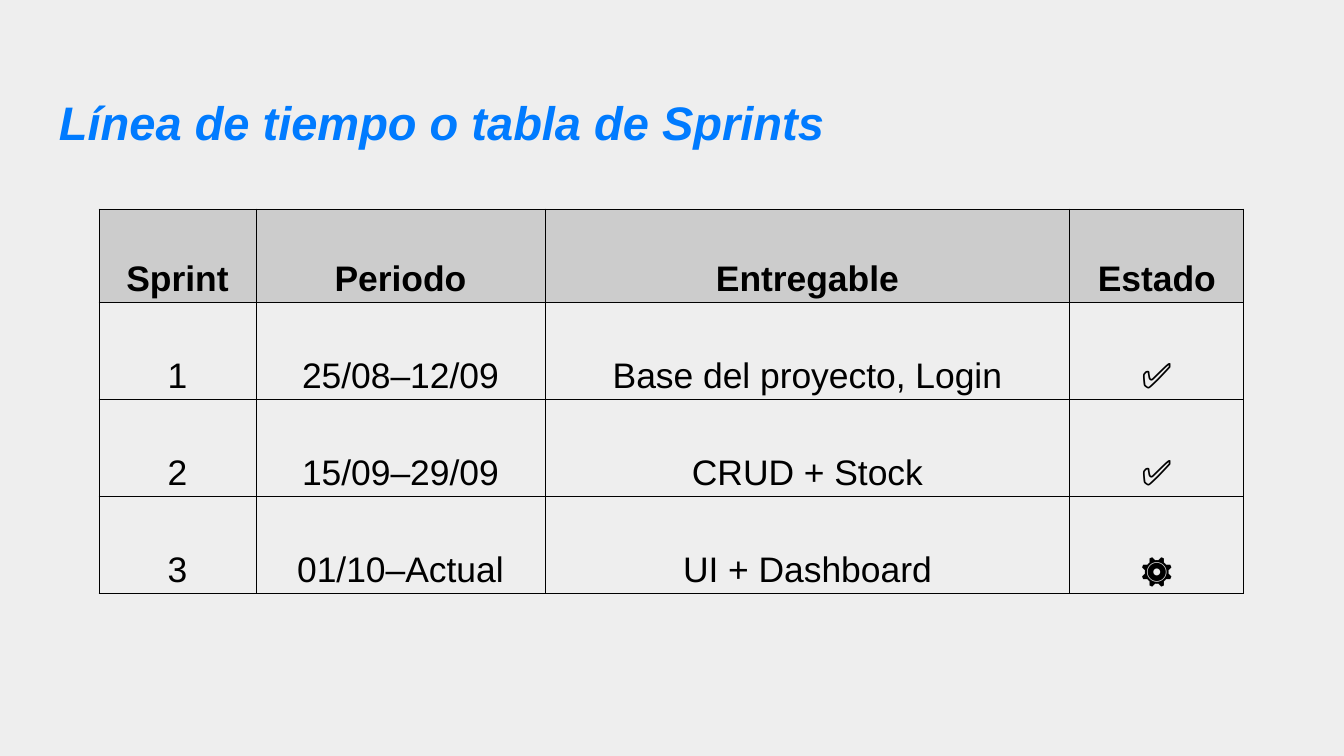
from lxml.etree import SubElement
from pptx import Presentation
from pptx.dml.color import RGBColor
from pptx.enum.text import MSO_ANCHOR, PP_ALIGN
from pptx.oxml.ns import qn
from pptx.util import Emu, Pt

TITLE = "Línea de tiempo o tabla de Sprints"
SPRINTS = [
    ("Sprint", "Periodo", "Entregable", "Estado"),
    ("1", "25/08–12/09", "Base del proyecto, Login", "✅"),
    ("2", "15/09–29/09", "CRUD + Stock", "✅"),
    ("3", "01/10–Actual", "UI + Dashboard", "⚙️"),
]
COLUMN_WIDTHS = [157, 289, 525, 174]
ROW_HEIGHTS = [93, 97, 97, 97]
BACKGROUND, HEADER_FILL, BLUE, BLACK = "EEEEEE", "CCCCCC", "007BFF", "000000"


def px(length):
    return Emu(round(length * 914400 / 134.4))


def color(value):
    return RGBColor.from_string(value)


def format_font(font, size, value, bold, italic=False):
    font.name, font.size = "Arial", Pt(size)
    font.bold, font.italic = bold, italic
    font.color.rgb = color(value)


def set_margins(area, horizontal, vertical):
    area.margin_left = area.margin_right = px(horizontal)
    area.margin_top = area.margin_bottom = px(vertical)


def add_borders(cell):
    properties = cell._tc.get_or_add_tcPr()
    for side in ("lnL", "lnR", "lnT", "lnB"):
        border = SubElement(properties, qn(f"a:{side}"), w=str(Pt(0.5)))
        fill = SubElement(border, qn("a:solidFill"))
        SubElement(fill, qn("a:srgbClr"), val=BLACK)


def fill_cell(cell, text, is_header):
    set_margins(cell, 4, 3)
    cell.vertical_anchor = MSO_ANCHOR.BOTTOM
    add_borders(cell)
    if is_header:
        cell.fill.solid()
        cell.fill.fore_color.rgb = color(HEADER_FILL)
    else:
        cell.fill.background()
    paragraph = cell.text_frame.paragraphs[0]
    paragraph.text = text
    paragraph.alignment = PP_ALIGN.CENTER
    paragraph.line_spacing = 1.15
    format_font(paragraph.runs[0].font, 19, BLACK, bold=is_header)


def main():
    deck = Presentation()
    deck.slide_width, deck.slide_height = px(1344), px(756)
    slide = deck.slides.add_slide(deck.slide_layouts[5])
    slide.background.fill.solid()
    slide.background.fill.fore_color.rgb = color(BACKGROUND)

    title = slide.shapes.title
    title.left, title.top, title.width, title.height = map(px, (46, 78, 1252, 85))
    frame = title.text_frame
    frame.text = TITLE
    frame.vertical_anchor = MSO_ANCHOR.BOTTOM
    set_margins(frame, 13, 13)
    frame.paragraphs[0].alignment = PP_ALIGN.LEFT
    format_font(frame.paragraphs[0].runs[0].font, 25.2, BLUE, bold=True, italic=True)

    table = slide.shapes.add_table(
        len(SPRINTS), len(COLUMN_WIDTHS), px(99), px(209),
        px(sum(COLUMN_WIDTHS)), px(sum(ROW_HEIGHTS))).table
    table.horz_banding = False
    for column, width in zip(table.columns, COLUMN_WIDTHS):
        column.width = px(width)
    for index, (row, height, texts) in enumerate(zip(table.rows, ROW_HEIGHTS, SPRINTS)):
        row.height = px(height)
        for cell, text in zip(row.cells, texts):
            fill_cell(cell, text, is_header=index == 0)

    deck.save("out.pptx")


if __name__ == "__main__":
    main()
